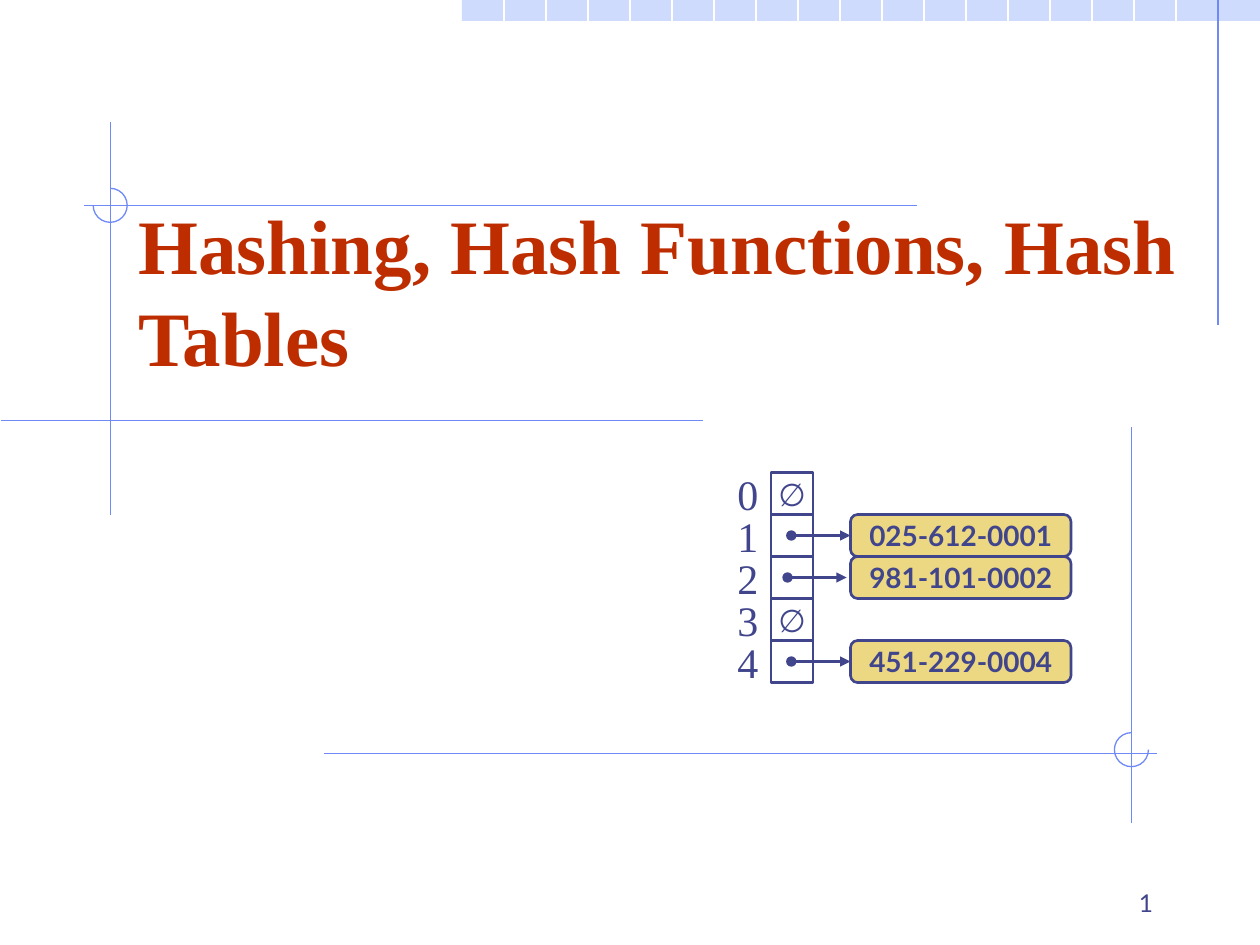
from dataclasses import dataclass

from lxml.etree import SubElement as Sub
from pptx import Presentation
from pptx.dml.color import RGBColor as RGB
from pptx.enum.shapes import MSO_CONNECTOR as Link, MSO_SHAPE as Form
from pptx.enum.text import MSO_ANCHOR as Anchor, PP_ALIGN as Align
from pptx.oxml.ns import qn
from pptx.util import Inches, Pt

# Content: one entry per slot, None for an empty slot
TITLE = "Hashing, Hash Functions, Hash Tables"
PAGE = "1"
EMPTY = "∅"
SLOTS = [None, "025-612-0001", "981-101-0002", None, "451-229-0004"]

WIDE, HIGH = 10, 7.5
UNIT = WIDE / 30          # grid step of the slide
TOP = HIGH / 2            # top of the hash table
CELL_X, KEY_X, KEY_W = 6.12, 6.75, 1.75
LEFT, RIGHT = 7 / 8, 8.98  # upright ornament lines

# Ornament lines: x1, y1, x2, y2
RULES = [
    (29 * UNIT, 0, 29 * UNIT, 2.58),
    (LEFT, 0.97, LEFT, 4.09),
    (5.58, 3.34, 0.01, 3.34),
    (7.28, 1.63, 0.67, 1.63),
    (2.57, 5.98, 9.18, 5.98),
    (RIGHT, 3.39, RIGHT, 6.53),
]
# Three-quarter rings: centre x, centre y, start and end angle (clockwise)
RINGS = [(LEFT, 1.63, 270, 180), (RIGHT, 5.95, 0, 270)]


@dataclass
class Theme:
    ink: str = "40458C"
    red: str = "BE2D00"
    gold: str = "ECD882"
    rule: str = "6F89F7"
    band: str = "CFDBFD"
    white: str = "FFFFFF"
    serif: str = "Times New Roman"
    sans: str = "Lato"
    big: int = 44
    index: int = 24
    mark: int = 18
    key: int = 16
    page: int = 14
    thin: float = 0.75
    thick: float = 1.5


T = Theme()

deck = Presentation()
deck.slide_width, deck.slide_height = Inches(WIDE), Inches(HIGH)
slide = deck.slides.add_slide(deck.slide_layouts[6])
parts = slide.shapes


def write(shape, text, size, font, color=T.ink, bold=False,
          align=Align.CENTER, anchor=Anchor.MIDDLE, wrap=False):
    frame = shape.text_frame
    frame.word_wrap, frame.vertical_anchor = wrap, anchor
    para = frame.paragraphs[0]
    para.text, para.alignment = text, align
    face = para.font
    face.name, face.size, face.bold = font, Pt(size), bold
    face.color.rgb = RGB.from_string(color)


def label(box, *args, **style):
    write(parts.add_textbox(*map(Inches, box)), *args, **style)


def draw(form, box, fill=None, line=None, width=T.thick):
    shape = parts.add_shape(form, *map(Inches, box))
    shape.shadow.inherit = False
    if fill:
        shape.fill.solid()
        shape.fill.fore_color.rgb = RGB.from_string(fill)
    else:
        shape.fill.background()
    if line:
        shape.line.color.rgb = RGB.from_string(line)
        shape.line.width = Pt(width)
    else:
        shape.line.fill.background()
    return shape


def rule(ends, color=T.rule, width=T.thin, arrow=False):
    line = parts.add_connector(Link.STRAIGHT, *map(Inches, ends))
    line.line.color.rgb = RGB.from_string(color)
    line.line.width = Pt(width)
    if arrow:
        pen = line.line._get_or_add_ln()
        Sub(pen, qn("a:headEnd"), type="oval")
        Sub(pen, qn("a:tailEnd"), type="triangle")
    Sub(line._element.spPr, qn("a:effectLst"))


# Top band, cut into squares by the upright grid lines
draw(Form.RECTANGLE, (11 * UNIT, 0, 19 * UNIT, UNIT / 2), T.band)
for col in range(12, 29):
    rule((col * UNIT, 0, col * UNIT, HIGH), T.white)

# Ornament lines and rings
for ends in RULES:
    rule(ends)
R = 0.135
for x, y, start, end in RINGS:
    ring = draw(Form.ARC, (x - R, y - R, 2 * R, 2 * R), None, T.rule, T.thin)
    ring.adjustments[0] = start * 0.6
    ring.adjustments[1] = end * 0.6

# Page number and title
label((7.17, 6.83, 2.08, 0.5), PAGE, T.page, T.sans,
      align=Align.RIGHT, anchor=Anchor.BOTTOM, wrap=True)
label((1, 1.83, 8.5, 1.25), TITLE, T.big, T.serif, T.red, bold=True,
      align=Align.LEFT, anchor=Anchor.BOTTOM, wrap=True)

# Hash table: index, cell, and arrow to the key
for row, key in enumerate(SLOTS):
    y = TOP + row * UNIT
    cell = draw(Form.RECTANGLE, (CELL_X, y, UNIT, UNIT), None, T.ink)
    label((5.75, y - UNIT / 4, 0.37, 0.5), str(row), T.index, T.serif,
          anchor=Anchor.TOP)
    if key is None:
        write(cell, EMPTY, T.mark, T.sans)
        continue
    node = draw(Form.ROUNDED_RECTANGLE, (KEY_X, y, KEY_W, UNIT), T.gold, T.ink)
    write(node, key, T.key, T.sans, bold=True)
    shift = 0.03 if row == 2 else 0
    mid = y + UNIT / 2
    rule((6.28 - shift, mid, KEY_X - shift, mid), T.ink, T.thick, arrow=True)

deck.save("out.pptx")
